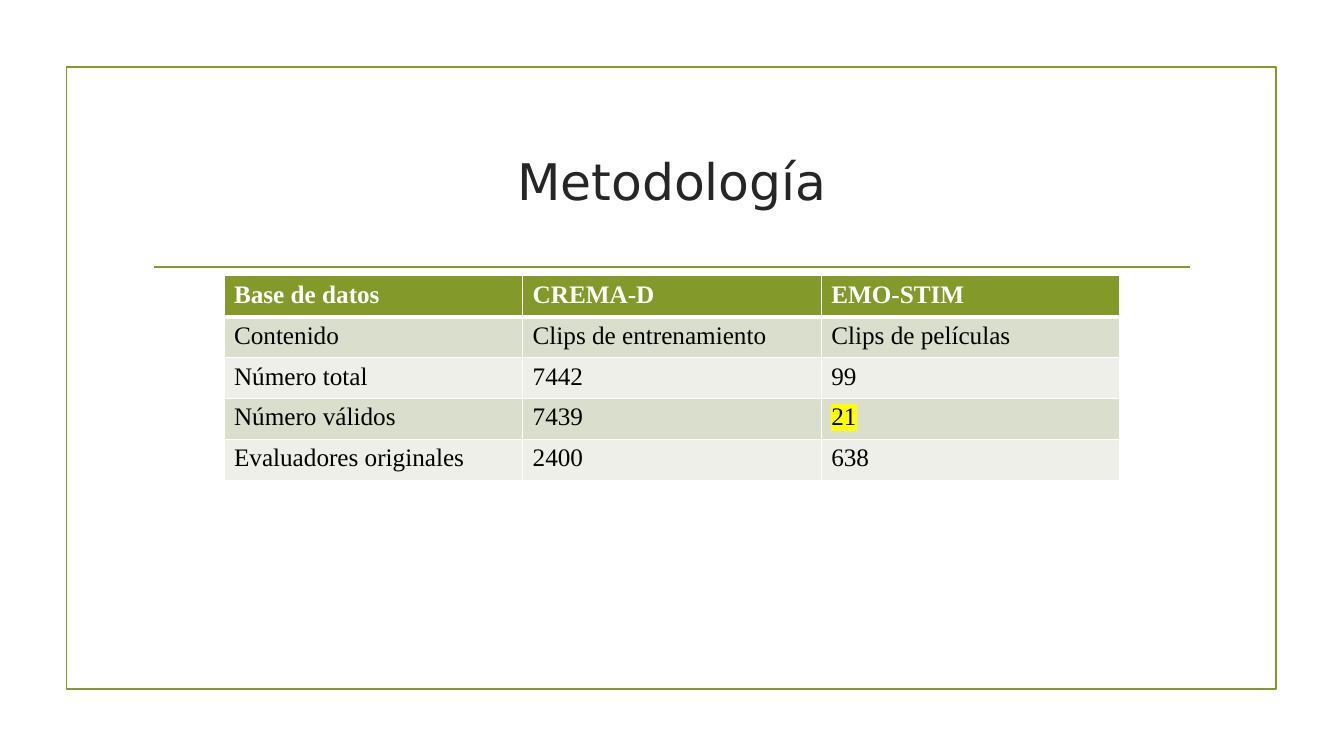
from dataclasses import dataclass

from lxml import etree
from pptx import Presentation
from pptx.dml.color import RGBColor
from pptx.enum.shapes import MSO_CONNECTOR, MSO_SHAPE
from pptx.enum.text import MSO_ANCHOR, PP_ALIGN
from pptx.oxml.ns import qn
from pptx.util import Pt

RECTANGLE = MSO_SHAPE.RECTANGLE
STRAIGHT = MSO_CONNECTOR.STRAIGHT
MIDDLE = MSO_ANCHOR.MIDDLE
CENTER = PP_ALIGN.CENTER
TITLE_ONLY = 5


@dataclass(frozen=True)
class Theme:
    accent: str = "83992A"
    title: str = "262626"
    text: str = "000000"
    white: str = "FFFFFF"
    bands: tuple = ("D9DECD", "EDEFE8")
    highlight: str = "FFFF00"
    title_font: str = "DejaVu Sans"
    table_font: str = "Times New Roman"
    title_size: float = 36
    table_size: float = 18
    line_width: float = 1.25
    border_width: float = 1
    header_border_width: float = 3


THEME = Theme()
DATABASE_ROWS = [
    ("Base de datos", "CREMA-D", "EMO-STIM"),
    ("Contenido", "Clips de entrenamiento", "Clips de películas"),
    ("Número total", "7442", "99"),
    ("Número válidos", "7439", "21"),
    ("Evaluadores originales", "2400", "638"),
]
HIGHLIGHTED_CELL = (3, 2)


def add_run(paragraph, text, font_name, size, color, bold=False):
    run = paragraph.add_run()
    run.text = text
    run.font.name = font_name
    run.font.size = Pt(size)
    run.font.bold = bold
    run.font.color.rgb = RGBColor.from_string(color)
    return run


def highlight_run(run, color):
    highlight = etree.Element(qn("a:highlight"))
    etree.SubElement(highlight, qn("a:srgbClr"), val=color)
    run.font.fill  # the highlight has to follow the text fill
    run.font._element.find(qn("a:solidFill")).addnext(highlight)


def set_borders(cell, color, widths):
    """Draw the borders of a cell; widths are left, right, top, bottom."""
    properties = cell._tc.get_or_add_tcPr()
    for index, (side, width) in enumerate(zip("LRTB", widths)):
        border = etree.Element(qn(f"a:ln{side}"), w=str(Pt(width)))
        fill = etree.SubElement(border, qn("a:solidFill"))
        etree.SubElement(fill, qn("a:srgbClr"), val=color)
        properties.insert(index, border)


def style_line(line):
    line.color.rgb = RGBColor.from_string(THEME.accent)
    line.width = Pt(THEME.line_width)


def add_frame(slide, left, top, width, height):
    frame = slide.shapes.add_shape(RECTANGLE, Pt(left), Pt(top), Pt(width), Pt(height))
    frame.shadow.inherit = False
    frame.fill.background()
    style_line(frame.line)


def add_divider(slide, left, top, width):
    divider = slide.shapes.add_connector(
        STRAIGHT, Pt(left), Pt(top), Pt(left + width), Pt(top))
    style_line(divider.line)
    etree.SubElement(divider._element.spPr, qn("a:effectLst"))


def place_title(slide, text, left, top, width, height):
    title = slide.shapes.title
    title.left, title.top = Pt(left), Pt(top)
    title.width, title.height = Pt(width), Pt(height)
    title.text_frame.vertical_anchor = MIDDLE
    paragraph = title.text_frame.paragraphs[0]
    paragraph.alignment = CENTER
    add_run(paragraph, text, THEME.title_font, THEME.title_size, THEME.title)


def add_database_table(slide, rows, left, top, width, height):
    table = slide.shapes.add_table(
        len(rows), len(rows[0]), Pt(left), Pt(top), Pt(width), Pt(height)).table
    thin, thick = THEME.border_width, THEME.header_border_width
    for row_index, texts in enumerate(rows):
        is_header = row_index == 0
        fill = THEME.accent if is_header else THEME.bands[(row_index - 1) % 2]
        color = THEME.white if is_header else THEME.text
        top_width = thick if row_index == 1 else thin
        bottom_width = thick if is_header else thin
        for column_index, text in enumerate(texts):
            cell = table.cell(row_index, column_index)
            cell.fill.solid()
            cell.fill.fore_color.rgb = RGBColor.from_string(fill)
            set_borders(cell, THEME.white, (thin, thin, top_width, bottom_width))
            run = add_run(cell.text_frame.paragraphs[0], text, THEME.table_font,
                          THEME.table_size, color, is_header)
            if (row_index, column_index) == HIGHLIGHTED_CELL:
                highlight_run(run, THEME.highlight)


def build_methodology_slide(presentation, left, top, width, height):
    """Place the frame in the given box and the other parts inside it."""
    slide = presentation.slides.add_slide(presentation.slide_layouts[TITLE_ONLY])
    add_frame(slide, left, top, width, height)
    add_divider(slide, left + 62.5, top + 142.5, width - 124)
    place_title(slide, "Metodología", left + 54.5, top + 29, width - 108, 103)
    add_database_table(slide, DATABASE_ROWS, left + 112.5, top + 149, width - 224, 146)


def main():
    presentation = Presentation()
    presentation.slide_width = Pt(960)
    presentation.slide_height = Pt(540)
    build_methodology_slide(presentation, 47.5, 48, 864, 444)
    presentation.save("out.pptx")


if __name__ == "__main__":
    main()
